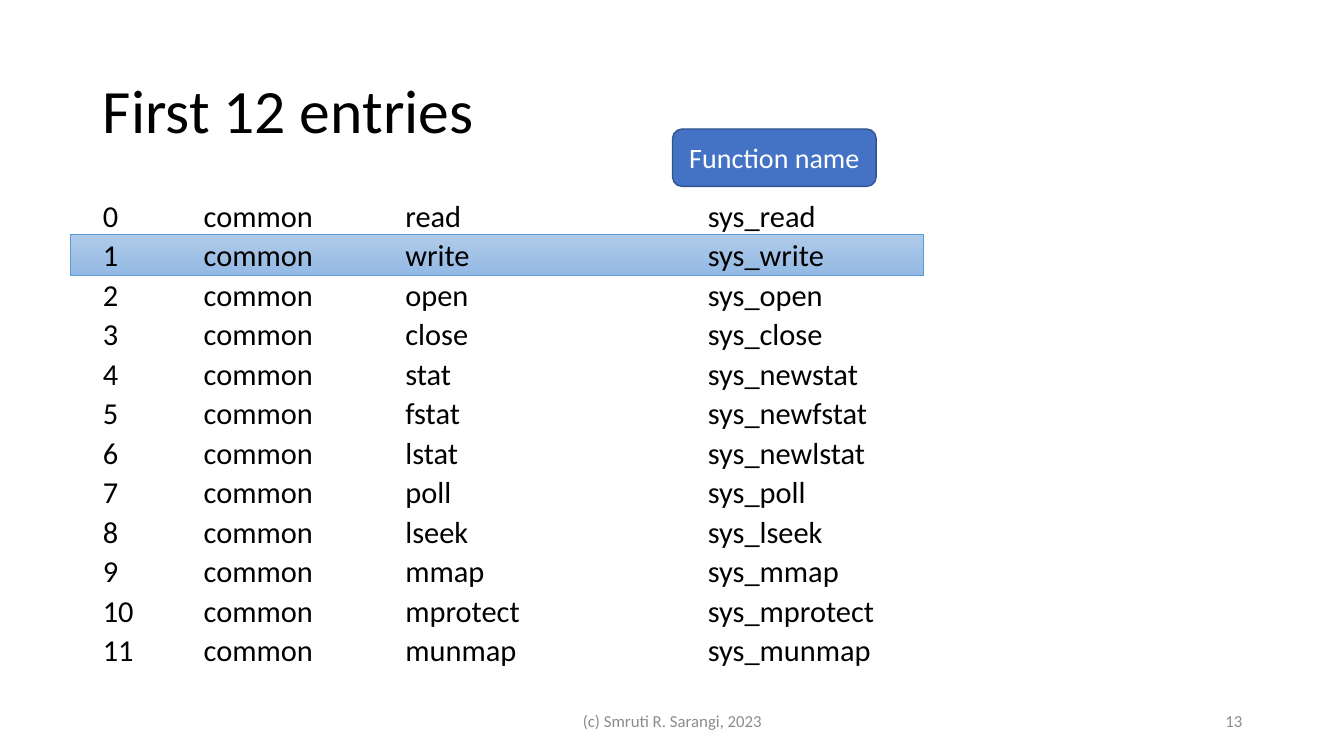
from dataclasses import dataclass

from lxml import etree
from pptx import Presentation
from pptx.dml.color import RGBColor
from pptx.enum.shapes import MSO_SHAPE
from pptx.enum.text import MSO_ANCHOR, MSO_AUTO_SIZE, PP_ALIGN
from pptx.oxml.ns import qn
from pptx.util import Inches, Pt

LEFT, CENTER, RIGHT = PP_ALIGN.LEFT, PP_ALIGN.CENTER, PP_ALIGN.RIGHT
TOP, MIDDLE = MSO_ANCHOR.TOP, MSO_ANCHOR.MIDDLE
RECTANGLE, ROUNDED = MSO_SHAPE.RECTANGLE, MSO_SHAPE.ROUNDED_RECTANGLE
NO_AUTOFIT = MSO_AUTO_SIZE.NONE

TITLE = "First 12 entries"
CALLOUT = "Function name"
FOOTER = "(c) Smruti R. Sarangi, 2023"
SLIDE_NUMBER = "13"
ABI = "common"
SYSTEM_CALLS = [
    ("read", "sys_read"),
    ("write", "sys_write"),
    ("open", "sys_open"),
    ("close", "sys_close"),
    ("stat", "sys_newstat"),
    ("fstat", "sys_newfstat"),
    ("lstat", "sys_newlstat"),
    ("poll", "sys_poll"),
    ("lseek", "sys_lseek"),
    ("mmap", "sys_mmap"),
    ("mprotect", "sys_mprotect"),
    ("munmap", "sys_munmap"),
]
TAB_WIDTH = str(Inches(1))
LONG_NAME = 6  # names of this length pass the first tab stop


@dataclass(frozen=True)
class Theme:
    font: str = "Calibri"
    text: str = "000000"
    muted: str = "8C8C8C"
    on_accent: str = "FFFFFF"
    accent: str = "4472C4"
    accent_line: str = "325491"
    band_top: str = "B1CBE9"
    band_bottom: str = "93B9E4"
    band_line: str = "5B9BD5"
    title_size: float = 44
    body_size: float = 21.7
    callout_size: float = 20
    footer_size: float = 12


THEME = Theme()


def color(value):
    return RGBColor.from_string(value)


def place(shape, left, top, width, height):
    shape.left, shape.top = Inches(left), Inches(top)
    shape.width, shape.height = Inches(width), Inches(height)


def prepare_frame(shape, anchor):
    frame = shape.text_frame
    frame.word_wrap = True
    frame.auto_size = NO_AUTOFIT
    frame.vertical_anchor = anchor
    return frame


def write(paragraph, text, size, ink, alignment=LEFT):
    paragraph.alignment = alignment
    run = paragraph.add_run()
    run.text = text
    run.font.name = THEME.font
    run.font.size = Pt(size)
    run.font.color.rgb = color(ink)


def widen_master_tabs(presentation):
    for body_style in presentation.slide_master.element.iter(qn("p:bodyStyle")):
        for level in body_style:
            level.set("defTabSz", TAB_WIDTH)


def make_plain(paragraph):
    """Remove the bullet and indent, and set the tab width."""
    properties = paragraph._p.get_or_add_pPr()
    properties.set("marL", "0")
    properties.set("indent", "0")
    properties.set("defTabSz", TAB_WIDTH)
    etree.SubElement(properties, qn("a:buNone"))


def add_shape(slide, kind, box, line_color, line_width):
    shape = slide.shapes.add_shape(kind, *map(Inches, box))
    shape.shadow.inherit = False
    shape.line.color.rgb = color(line_color)
    shape.line.width = Pt(line_width)
    return shape


def add_title(slide):
    title = slide.shapes.title
    place(title, 0.92, 0.4, 11.5, 1.45)
    paragraph = prepare_frame(title, MIDDLE).paragraphs[0]
    paragraph.line_spacing = 0.9
    write(paragraph, TITLE, THEME.title_size, THEME.text)


def add_entries(slide):
    body = slide.placeholders[1]
    place(body, 0.92, 2, 8.77, 4.76)
    frame = prepare_frame(body, TOP)
    for number, (name, function) in enumerate(SYSTEM_CALLS):
        paragraph = frame.add_paragraph() if number else frame.paragraphs[0]
        paragraph.line_spacing = 0.7
        paragraph.space_before = Pt(10)
        make_plain(paragraph)
        gap = "\t" * (2 if len(name) >= LONG_NAME else 3)
        entry = f"{number}\t{ABI}\t{name}{gap}{function}"
        write(paragraph, entry, THEME.body_size, THEME.text)


def add_highlight(slide):
    """Put the gradient band for entry 1 behind the text."""
    band = add_shape(slide, RECTANGLE, (0.7, 2.32, 8.46, 0.41), THEME.band_line, 0.5)
    band.fill.gradient()
    band.fill.gradient_angle = 270
    for stop, shade in zip(band.fill.gradient_stops, (THEME.band_top, THEME.band_bottom)):
        stop.color.rgb = color(shade)
    slide.shapes.title.element.addprevious(band.element)


def add_callout(slide):
    callout = add_shape(slide, ROUNDED, (6.67, 1.28, 2.02, 0.57), THEME.accent_line, 1)
    callout.fill.solid()
    callout.fill.fore_color.rgb = color(THEME.accent)
    paragraph = prepare_frame(callout, MIDDLE).paragraphs[0]
    write(paragraph, CALLOUT, THEME.callout_size, THEME.on_accent, CENTER)


def add_footer(slide, text, left, width, alignment):
    box = slide.shapes.add_textbox(Inches(left), Inches(6.95), Inches(width), Inches(0.4))
    paragraph = prepare_frame(box, MIDDLE).paragraphs[0]
    write(paragraph, text, THEME.footer_size, THEME.muted, alignment)


def main():
    presentation = Presentation()
    presentation.slide_width, presentation.slide_height = Inches(13.33), Inches(7.5)
    widen_master_tabs(presentation)
    slide = presentation.slides.add_slide(presentation.slide_layouts[1])
    add_title(slide)
    add_entries(slide)
    add_highlight(slide)
    add_footer(slide, FOOTER, 4.42, 4.5, CENTER)
    add_footer(slide, SLIDE_NUMBER, 9.42, 3, RIGHT)
    add_callout(slide)
    presentation.save("out.pptx")


if __name__ == "__main__":
    main()
